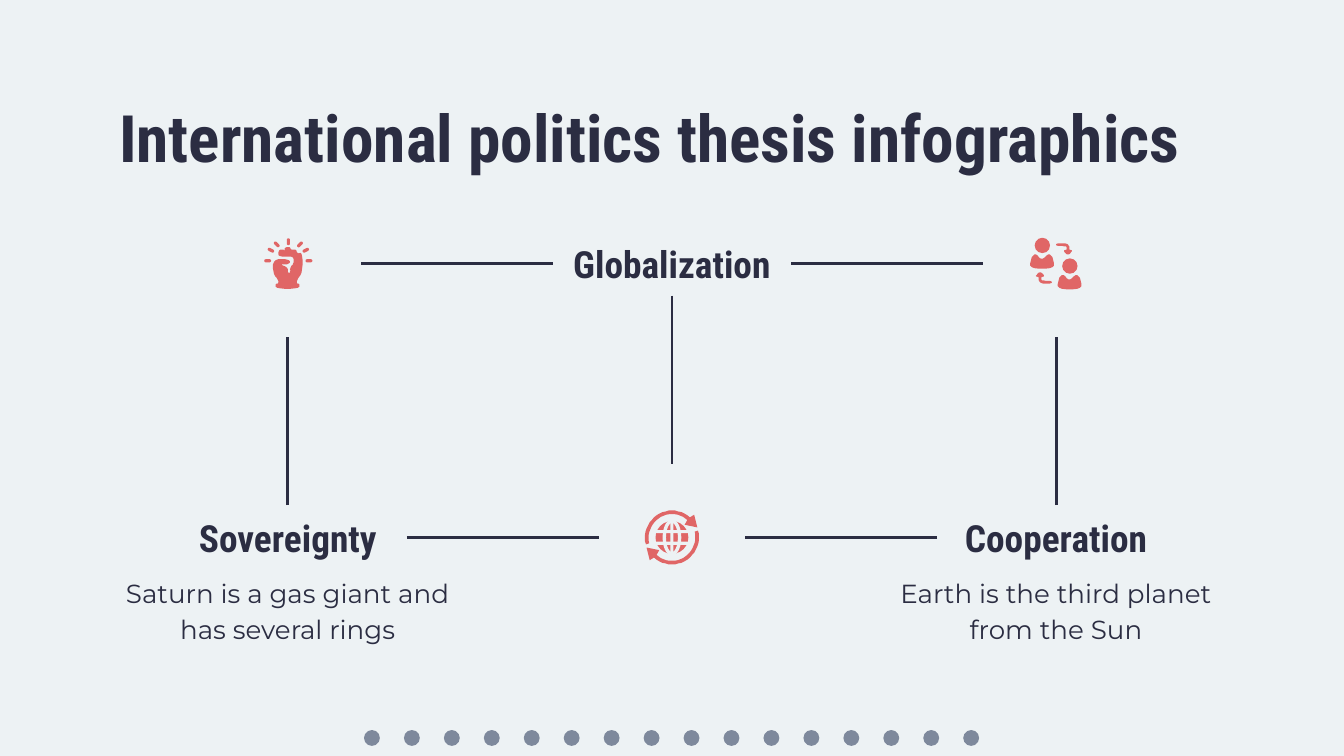
from math import cos, radians, sin

from lxml import etree
from pptx import Presentation
from pptx.dml.color import RGBColor
from pptx.enum.shapes import MSO_CONNECTOR as CONN, MSO_SHAPE as SHAPE
from pptx.enum.text import MSO_ANCHOR as ANCHOR, MSO_AUTO_SIZE as AUTO, PP_ALIGN as ALIGN
from pptx.oxml.ns import qn
from pptx.util import Cm, Pt

COLORS = {"bg": "EDF2F4", "ink": "2B2D42", "icon": "E06666", "dot": "7E899C"}
HEAD, BODY = "Roboto Condensed", "Montserrat"
COLUMNS = (5.44, 12.7, 19.96)
ROWS = (4.98, 10.16)
LABEL_W, LABEL_H = 4.5, 1.22
SPOKE_W, SPOKE_H = 3.63, 3.18
UNIT = 0.01
FIST = [(32, 37), (32, 25), (43, 23), (44, 28), (44, 19), (55, 19), (55, 24), (66, 24),
        (67, 31), (78, 30), (78, 66), (67, 82), (67, 88), (72, 88), (72, 98), (27, 98),
        (27, 88), (32, 88), (32, 80), (22, 70), (22, 42), (50, 42), (55, 47), (50, 52),
        (35, 52), (50, 57), (50, 68), (55, 68), (54, 57), (62, 50), (60, 37), (50, 37)]
RAYS = [(73, 14, -45), (84, 25, -27), (90, 45, 0)]
TORSO = [(9, 27), (22, 43), (36, 27), (45, 42), (45, 58), (0, 58), (0, 42)]
SWAP = [(50, 12), (70, 12), (75, 17), (75, 25), (82, 25), (72, 36), (63, 25), (70, 25),
        (70, 17), (50, 17)]


def rgb(name):
    return RGBColor.from_string(COLORS[name])


def paint(sp, color):
    sp.fill.solid()
    sp.fill.fore_color.rgb = rgb(color)
    sp.line.fill.background()
    sp.shadow.inherit = False


def set_text(sp, text, font, size, bold, align, anchor, spacing=1.0):
    tf = sp.text_frame
    tf.word_wrap = True
    tf.auto_size = AUTO.NONE
    tf.vertical_anchor = anchor
    tf.margin_left = tf.margin_right = tf.margin_top = tf.margin_bottom = Cm(0.25)
    p = tf.paragraphs[0]
    p.text = text
    p.alignment = align
    p.line_spacing = spacing
    p.font.name, p.font.size, p.font.bold = font, Pt(size), bold
    p.font.color.rgb = rgb("ink")


def add_title(slide, x, y, w, h):
    sp = slide.shapes.title
    sp.left, sp.top, sp.width, sp.height = Cm(x), Cm(y), Cm(w), Cm(h)
    set_text(sp, "International politics thesis infographics", HEAD, 35, True,
             ALIGN.LEFT, ANCHOR.TOP)


def add_dots(slide, x, y, pitch, count):
    for i in range(count):
        sp = slide.shapes.add_shape(SHAPE.OVAL, Cm(x + i * pitch), Cm(y), Cm(0.3), Cm(0.3))
        paint(sp, "dot")


def add_spoke(slide, label, side):
    dx, dy = ((0, -1), (-1, 0), (0, 1), (1, 0))[side]
    x = label.left + label.width * (1 + dx) // 2
    y = label.top + label.height * (1 + dy) // 2
    line = slide.shapes.add_connector(CONN.STRAIGHT, x, y, x + dx * Cm(SPOKE_W),
                                      y + dy * Cm(SPOKE_H))
    line.begin_connect(label, side)
    line.line.color.rgb = rgb("ink")
    line.line.width = Pt(1.5)
    etree.SubElement(line._element.spPr, qn("a:effectLst"))


def add_topic(slide, cx, cy, name, sides, detail=None):
    sp = slide.shapes.add_textbox(Cm(cx - LABEL_W / 2), Cm(cy - LABEL_H / 2),
                                  Cm(LABEL_W), Cm(LABEL_H))
    set_text(sp, name, HEAD, 20, True, ALIGN.CENTER, ANCHOR.MIDDLE)
    for side in sides:
        add_spoke(slide, sp, side)
    if detail:
        sp = slide.shapes.add_textbox(Cm(cx - 3.47), Cm(cy + 0.41), Cm(6.94), Cm(1.9))
        set_text(sp, detail, BODY, 14, False, ALIGN.CENTER, ANCHOR.TOP, 1.15)


def soften(points, rounds=2):
    for _ in range(rounds):
        pairs = zip(points, points[1:] + points[:1])
        points = [(a[0] + (b[0] - a[0]) * t, a[1] + (b[1] - a[1]) * t)
                  for a, b in pairs for t in (0.25, 0.75)]
    return points


def add_outline(shapes, x, y, points):
    fb = shapes.build_freeform(*points[0], scale=Cm(UNIT))
    fb.add_line_segments(points[1:], close=True)
    paint(fb.convert_to_shape(Cm(x), Cm(y)), "icon")


def add_part(shapes, kind, x, y, cx, cy, w, h, color="icon", angle=0):
    sp = shapes.add_shape(kind, Cm(x + (cx - w / 2) * UNIT), Cm(y + (cy - h / 2) * UNIT),
                          Cm(w * UNIT), Cm(h * UNIT))
    sp.rotation = angle
    paint(sp, color)
    return sp


def add_fist(slide, x, y):
    shapes = slide.shapes.add_group_shape().shapes
    add_outline(shapes, x, y, soften(FIST))
    mirrored = [(102 - cx, cy, -angle) for cx, cy, angle in RAYS]
    for cx, cy, angle in RAYS + mirrored + [(51, 9, 90)]:
        sp = add_part(shapes, SHAPE.ROUNDED_RECTANGLE, x, y, cx, cy, 13, 6, angle=angle)
        sp.adjustments[0] = 0.5


def add_people(slide, x, y):
    shapes = slide.shapes.add_group_shape().shapes
    for dx, dy in ((1, 2), (53, 41)):
        add_part(shapes, SHAPE.OVAL, x, y, dx + 23, dy + 14, 29, 29)
        add_outline(shapes, x, y, soften([(px + dx, py + dy) for px, py in TORSO]))
    for points in (SWAP, [(92 - px, 100 - py) for px, py in SWAP]):
        add_outline(shapes, x, y, soften(points))


def arc(radius, angles):
    return [(50 + radius * cos(radians(a)), 50 - radius * sin(radians(a))) for a in angles]


def add_globe(slide, x, y):
    shapes = slide.shapes.add_group_shape().shapes
    sweep = range(195, 47, -7)
    orbit = arc(51, sweep) + [(92, 7), (98, 31), (74, 26)] + arc(44, reversed(sweep))
    for points in (orbit, [(100 - px, 100 - py) for px, py in orbit]):
        add_outline(shapes, x, y, points)
    add_part(shapes, SHAPE.OVAL, x, y, 50, 50, 62, 62)
    meridian = add_part(shapes, SHAPE.OVAL, x, y, 50, 50, 29, 62)
    meridian.line.color.rgb = rgb("bg")
    meridian.line.width = Pt(1.8)
    for cx, cy, w, h in ((50, 50, 6, 64), (50, 39, 64, 6), (50, 61, 64, 6)):
        add_part(shapes, SHAPE.RECTANGLE, x, y, cx, cy, w, h, "bg")


def main():
    prs = Presentation()
    prs.slide_width, prs.slide_height = Cm(25.4), Cm(14.29)
    slide = prs.slides.add_slide(prs.slide_layouts[5])
    slide.background.fill.solid()
    slide.background.fill.fore_color.rgb = rgb("bg")
    left, middle, right = COLUMNS
    top, bottom = ROWS
    add_dots(slide, 6.88, 13.8, 0.755, 16)
    add_title(slide, 2.0, 1.58, 21.4, 1.58)
    add_topic(slide, middle, top, "Globalization", (1, 2, 3))
    add_topic(slide, left, bottom, "Sovereignty", (0, 3),
              "Saturn is a gas giant and has several rings")
    add_topic(slide, right, bottom, "Cooperation", (0, 1),
              "Earth is the third planet from the Sun")
    for add_icon, cx, cy in ((add_fist, left, top), (add_people, right, top),
                             (add_globe, middle, bottom)):
        add_icon(slide, cx - 0.5, cy - 0.5)
    prs.save("out.pptx")


if __name__ == "__main__":
    main()
